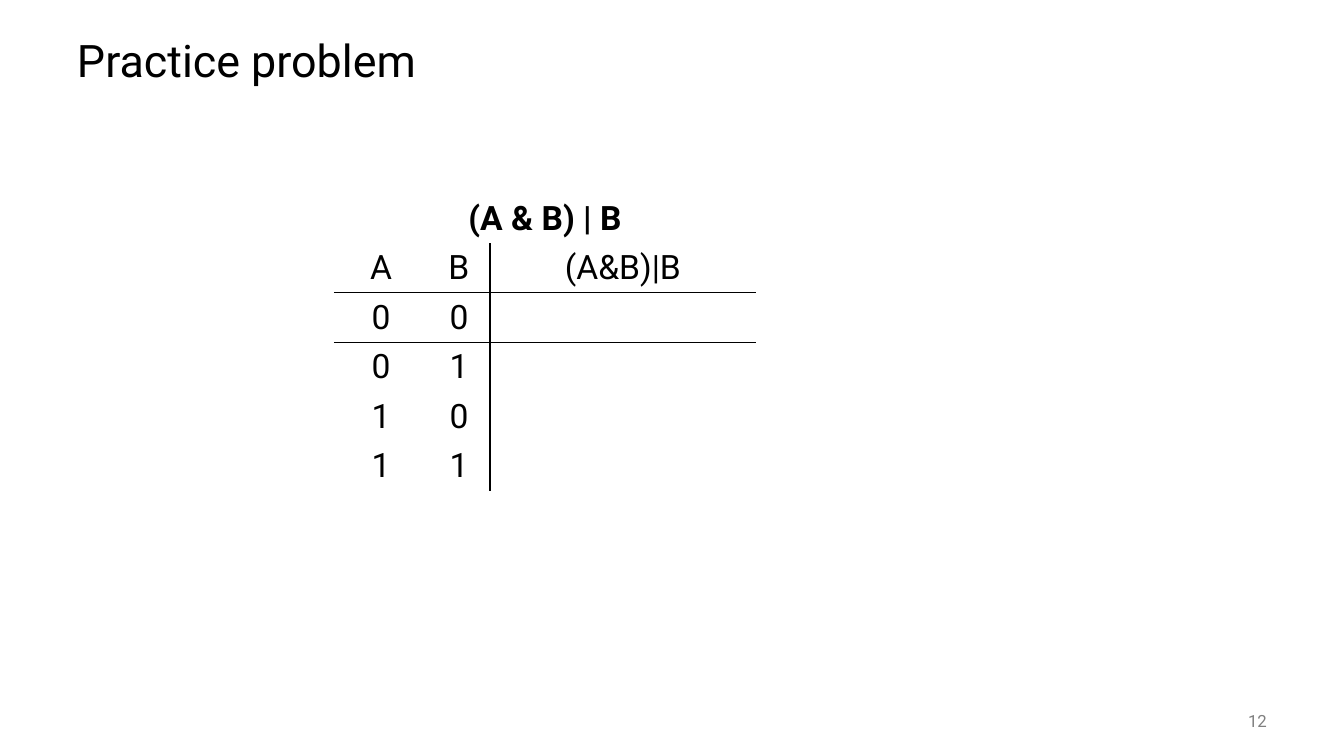
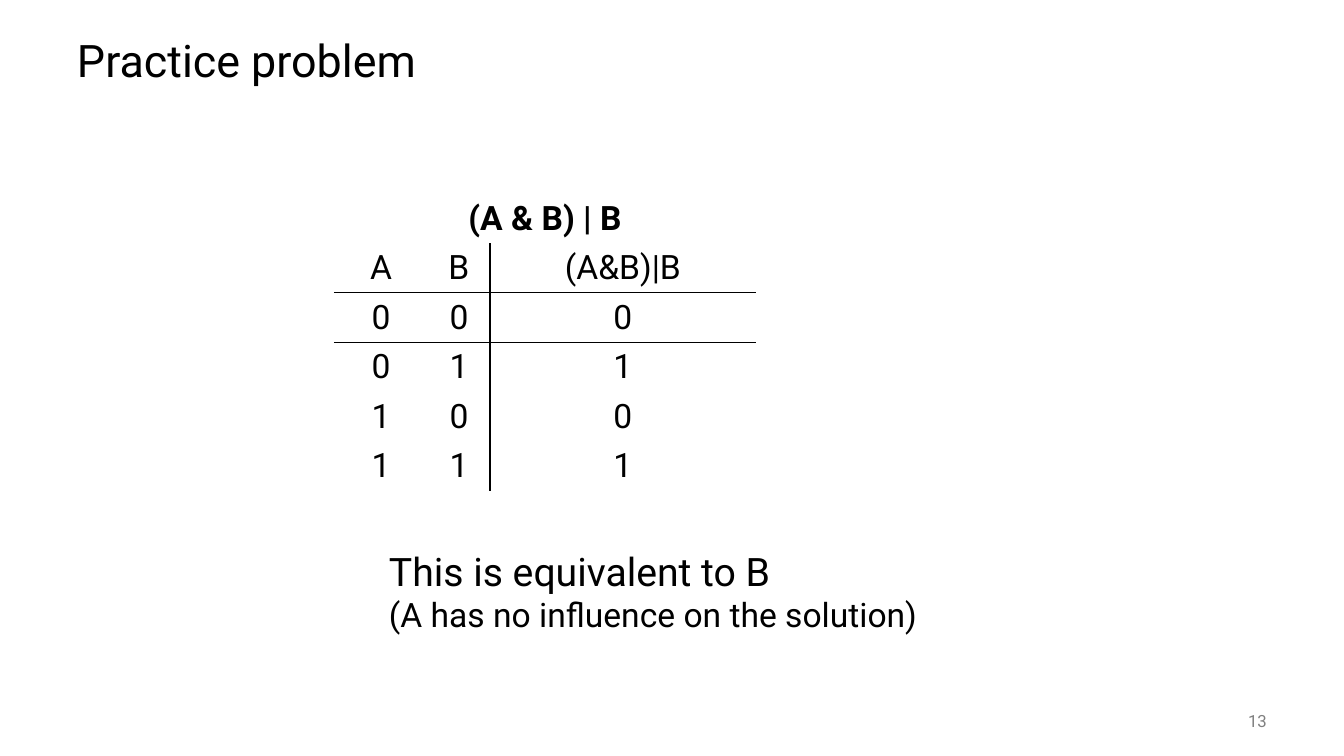
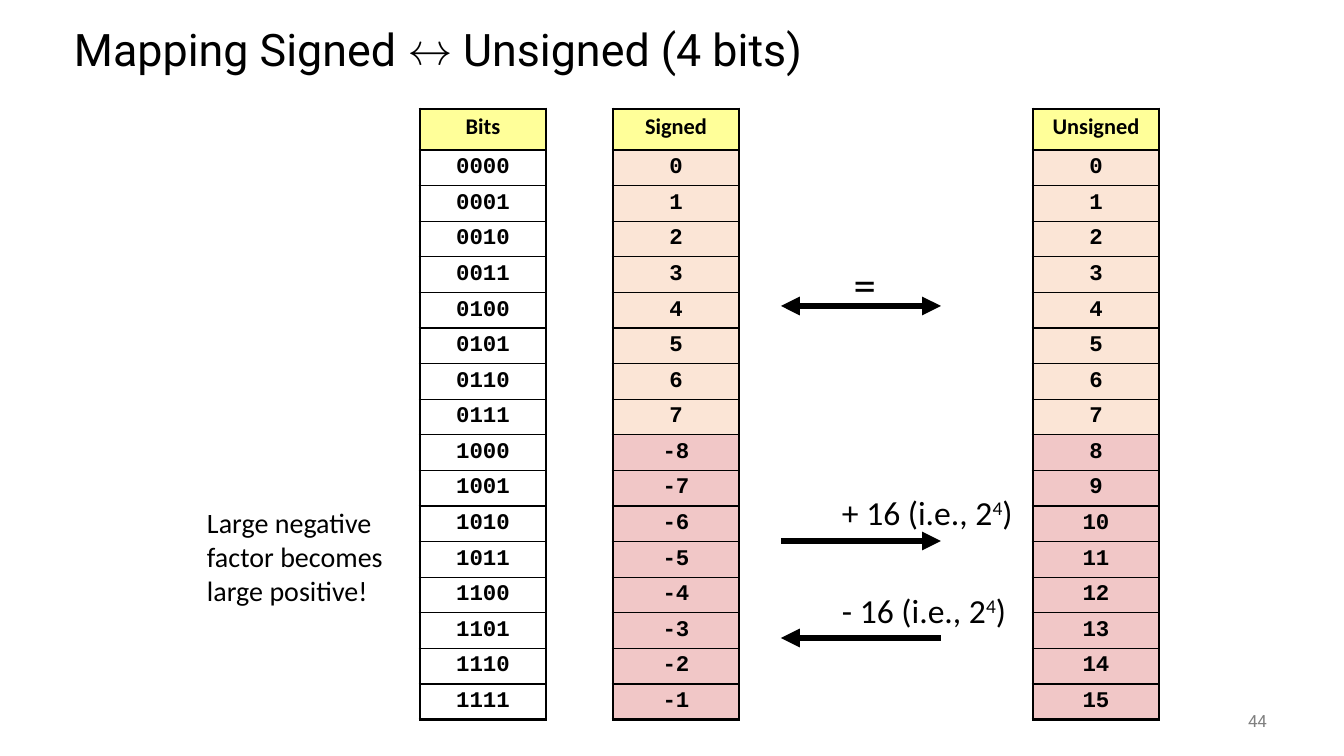
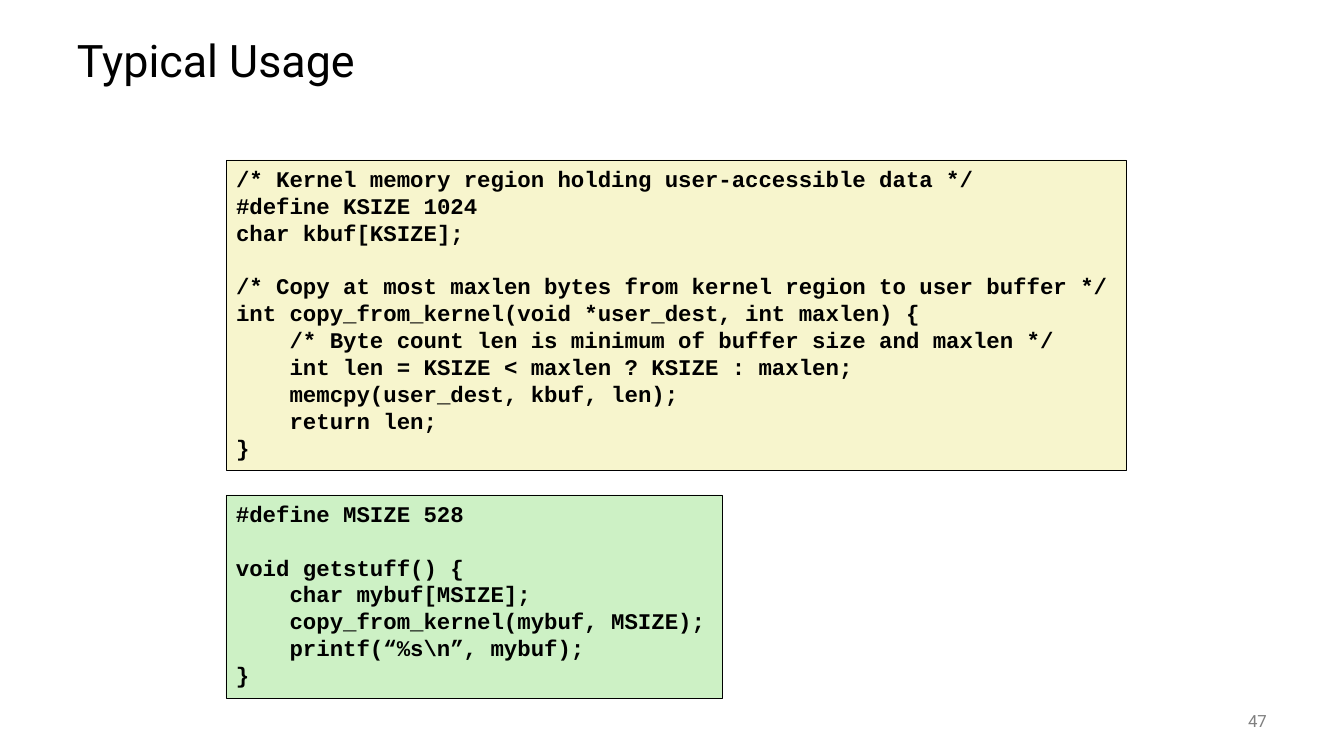
from lxml import etree
from pptx import Presentation
from pptx.dml.color import RGBColor
from pptx.enum.shapes import MSO_CONNECTOR, MSO_SHAPE
from pptx.enum.text import MSO_ANCHOR, MSO_AUTO_SIZE, PP_ALIGN
from pptx.oxml.ns import qn
from pptx.text.text import Font
from pptx.util import Pt

LEFT, CENTER, RIGHT = PP_ALIGN.LEFT, PP_ALIGN.CENTER, PP_ALIGN.RIGHT
TOP, MIDDLE = MSO_ANCHOR.TOP, MSO_ANCHOR.MIDDLE

# Shared look
BLACK, GREY, WHITE = "000000", "808080", "FFFFFF"
HEADER, LOW, HIGH = "FFFF99", "FBE5D6", "F1C7C7"
CREAM, GREEN = "F7F5CD", "CDF1C5"
TITLE = dict(name="Roboto", size=32, color=BLACK)
NUMBER = dict(name="Roboto", size=12, color=GREY)
BODY = dict(name="Roboto", size=24, color=BLACK)
BODY_BIG = dict(BODY, size=28)
CELL = dict(BODY, bold=False)
CELL_HEAD = dict(BODY, bold=True)
NOTE = dict(name="Calibri", size=20, color=BLACK)
OFFSET = dict(NOTE, size=24)
POWER = dict(OFFSET, raised=True)
EQUALS = dict(NOTE, size=32)
COLUMN_HEAD = dict(name="Calibri", size=16, color=BLACK, bold=True)
CODE = dict(COLUMN_HEAD, name="Courier New")
PLAIN_TABLE = "{2D5ABB26-0587-4C30-8999-92F81FD0307C}"
INSET, TIGHT = (10, 5, 10, 5), (5, 5, 5, 5)

# Content
FORMULA = "(A & B) | B"
TRUTH_HEAD = ("A", "B", "(A&B)|B")
INPUTS = [("0", "0"), ("0", "1"), ("1", "0"), ("1", "1")]
RESULTS = ["0", "1", "0", "1"]
CONCLUSION = [[("This is equivalent to B", BODY_BIG)],
              [("(A has no influence on the solution)", BODY)]]

BITS = 4
COUNT = 2 ** BITS
HALF = COUNT // 2
COLUMNS = [  # left, heading, values, low fill, high fill
    (420, "Bits", [f"{n:04b}" for n in range(COUNT)], WHITE, WHITE),
    (613, "Signed", [n if n < HALF else n - COUNT for n in range(COUNT)], LOW, HIGH),
    (1033, "Unsigned", list(range(COUNT)), LOW, HIGH),
]
ARROWS = [(306, ("headEnd", "tailEnd")), (541, ("tailEnd",)), (638, ("headEnd",))]
OFFSETS = [(487, "+ 16 (i.e., 2"), (585, "- 16 (i.e., 2")]
WARNING = ["Large negative", "factor becomes", "large positive!"]

KERNEL_CODE = """\
/* Kernel memory region holding user-accessible data */
#define KSIZE 1024
char kbuf[KSIZE];

/* Copy at most maxlen bytes from kernel region to user buffer */
int copy_from_kernel(void *user_dest, int maxlen) {
    /* Byte count len is minimum of buffer size and maxlen */
    int len = KSIZE < maxlen ? KSIZE : maxlen;
    memcpy(user_dest, kbuf, len);
    return len;
}"""
USER_CODE = r"""#define MSIZE 528

void getstuff() {
    char mybuf[MSIZE];
    copy_from_kernel(mybuf, MSIZE);
    printf(“%s\n”, mybuf);
}"""
CODE_BOXES = [((226, 160, 900, 310), CREAM, KERNEL_CODE),
              ((226, 495, 496, 203), GREEN, USER_CODE)]


def px(n):
    return round(n * 914400 / 100.8)


def rgb(color):
    return RGBColor.from_string(color)


def style(font, name, size, color, bold=False, raised=False):
    for key, value in dict(name=name, size=Pt(size), bold=bold).items():
        setattr(font, key, value)
    font.color.rgb = rgb(color)
    if raised:
        font._rPr.set("baseline", "30000")


def write(tf, paragraphs, align=LEFT, spacing=None):
    """Fill a text frame; each paragraph is a list of (text, format) runs."""
    for i, runs in enumerate(paragraphs):
        p = tf.paragraphs[0] if i == 0 else tf.add_paragraph()
        p.alignment = align
        if spacing:
            p.line_spacing = spacing
        for text, fmt in runs:
            if text:
                r = p.add_run()
                r.text = text
                style(r.font, **fmt)
            else:
                style(Font(p._p.get_or_add_endParaRPr()), **fmt)


def set_frame(tf, anchor=TOP, wrap=True, inset=INSET):
    sides = ("margin_left", "margin_top", "margin_right", "margin_bottom")
    values = dict(zip(sides, map(px, inset)), vertical_anchor=anchor,
                  word_wrap=wrap, auto_size=MSO_AUTO_SIZE.NONE)
    for key, value in values.items():
        setattr(tf, key, value)


def add_text(s, box, paragraphs, align=LEFT, **frame):
    tf = s.shapes.add_textbox(*map(px, box)).text_frame
    set_frame(tf, **frame)
    write(tf, paragraphs, align)


def new_slide(prs, title, number, **frame):
    s = prs.slides.add_slide(prs.slide_layouts[5])
    sp = s.shapes.title
    sp.left, sp.top, sp.width, sp.height = map(px, (67, 25, 1210, 76))
    set_frame(sp.text_frame, **{"anchor": MIDDLE, **frame})
    write(sp.text_frame, [[(title, TITLE)]], spacing=0.9)
    add_text(s, (1176, 701, 101, 40), [[(str(number), NUMBER)]], RIGHT, anchor=MIDDLE)
    return s


def add_table(s, left, top, widths, heights):
    shape = s.shapes.add_table(len(heights), len(widths), px(left), px(top),
                               px(sum(widths)), px(sum(heights)))
    table = shape.table
    table.first_row = table.horz_banding = False
    table._tbl.tblPr.find(qn("a:tableStyleId")).text = PLAIN_TABLE
    for parts, attr, sizes in ((table.columns, "width", widths),
                               (table.rows, "height", heights)):
        for part, size in zip(parts, sizes):
            setattr(part, attr, px(size))
    return table


def set_cell(cell, text, fmt, fill=None, borders=(), anchor=MIDDLE, inset=INSET, spacing=None):
    """Format a cell; borders maps the sides L, R, T, B to widths in points."""
    sides = ("margin_left", "margin_top", "margin_right", "margin_bottom")
    for key, value in zip(sides, inset):
        setattr(cell, key, px(value))
    cell.vertical_anchor = anchor
    tcPr = cell._tc.get_or_add_tcPr()
    for side in "LRTB":
        if side in borders:
            ln = etree.SubElement(tcPr, qn(f"a:ln{side}"), w=str(Pt(borders[side])))
            color = etree.SubElement(ln, qn("a:solidFill"))
            etree.SubElement(color, qn("a:srgbClr"), val=BLACK)
    if fill:
        cell.fill.solid()
        cell.fill.fore_color.rgb = rgb(fill)
    else:
        cell.fill.background()
    write(cell.text_frame, [[(text, fmt)]], CENTER, spacing)


def add_truth_table(s, results):
    rows = [(FORMULA, "", ""), TRUTH_HEAD]
    rows += [(*pair, result) for pair, result in zip(INPUTS, results)]
    table = add_table(s, 334, 194, (94, 62, 266), [49] * len(rows))
    table.cell(0, 0).merge(table.cell(0, 2))
    for i, row in enumerate(rows):
        for j, text in enumerate(row):
            borders = {}
            if i > 0 and j > 0:
                borders["R" if j == 1 else "L"] = 1
            if i in (1, 2):
                borders["B" if i == 1 else "T"] = 1
            set_cell(table.cell(i, j), text, CELL if i else CELL_HEAD, borders=borders)


def add_value_column(s, left, heading, values, low, high):
    table = add_table(s, left, 109, [126], [41] + [570 / COUNT] * COUNT)
    for i, value in enumerate([heading, *values]):
        fill = HEADER if i == 0 else low if i <= HALF else high
        borders = dict(L=2.25, R=2.25, T=1 if i else 2.25, B=2.25 if i == COUNT else 1)
        set_cell(table.cell(i, 0), str(value), CODE if i else COLUMN_HEAD, fill,
                 borders, TOP, TIGHT, 0.95)


def add_arrow(s, y, ends):
    line = s.shapes.add_connector(MSO_CONNECTOR.STRAIGHT, px(781), px(y), px(941), px(y))
    line.line.color.rgb = rgb(BLACK)
    line.line.width = Pt(4.5)
    ln = line.line._get_or_add_ln()
    for end in ends:
        etree.SubElement(ln, qn(f"a:{end}"), type="triangle")
    etree.SubElement(line._element.spPr, qn("a:effectLst"))


def add_code(s, box, fill, code):
    sp = s.shapes.add_shape(MSO_SHAPE.RECTANGLE, *map(px, box))
    sp.shadow.inherit = False
    sp.fill.solid()
    sp.fill.fore_color.rgb = rgb(fill)
    sp.line.color.rgb = rgb(BLACK)
    sp.line.width = Pt(0.5)
    set_frame(sp.text_frame, wrap=False)
    write(sp.text_frame, [[(text, CODE)] for text in code.split("\n")])


def main():
    prs = Presentation()
    prs.slide_width, prs.slide_height = px(1344), px(756)

    # Practice problem, then its solution
    s = new_slide(prs, "Practice problem", 12)
    add_truth_table(s, [""] * len(INPUTS))
    s = new_slide(prs, "Practice problem", 13)
    add_truth_table(s, RESULTS)
    add_text(s, (379, 542, 652, 99), CONCLUSION)

    # Signed and unsigned values
    s = new_slide(prs, "Mapping Signed ↔ Unsigned (4 bits)", 44,
                  anchor=TOP, inset=(7, 3, 7, 3))
    for column in COLUMNS:
        add_value_column(s, *column)
    for arrow in ARROWS:
        add_arrow(s, *arrow)
    add_text(s, (849, 252, 32, 64), [[("=", EQUALS)]], CENTER, wrap=False, inset=TIGHT)
    for top, text in OFFSETS:
        add_text(s, (832, top, 195, 51),
                 [[(text, OFFSET), (str(BITS), POWER), (")", OFFSET)]], anchor=MIDDLE)
    add_text(s, (197, 501, 198, 112), [[(text, NOTE)] for text in WARNING], wrap=False)

    # Code listings
    s = new_slide(prs, "Typical Usage", 47)
    for code_box in CODE_BOXES:
        add_code(s, *code_box)

    prs.save("out.pptx")


if __name__ == "__main__":
    main()
